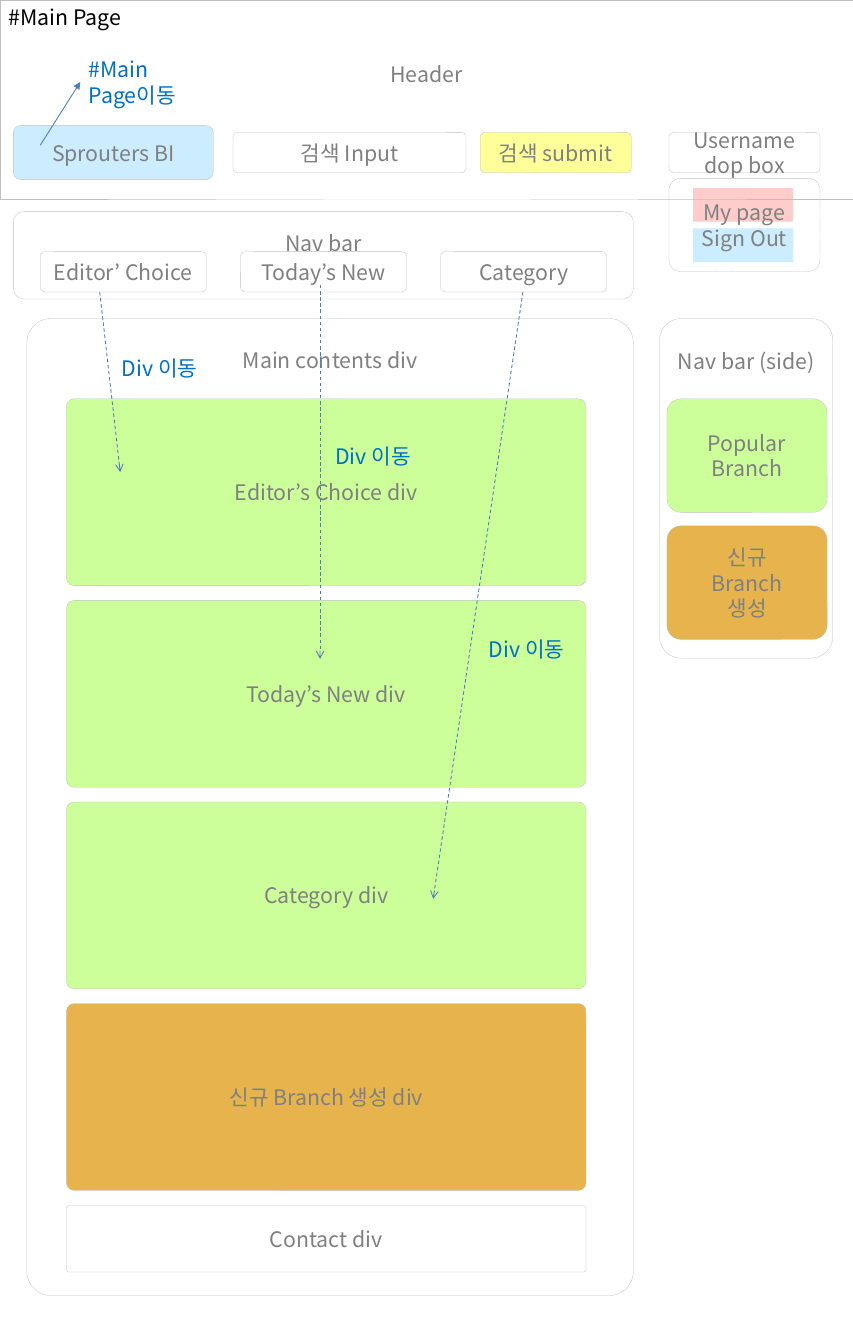
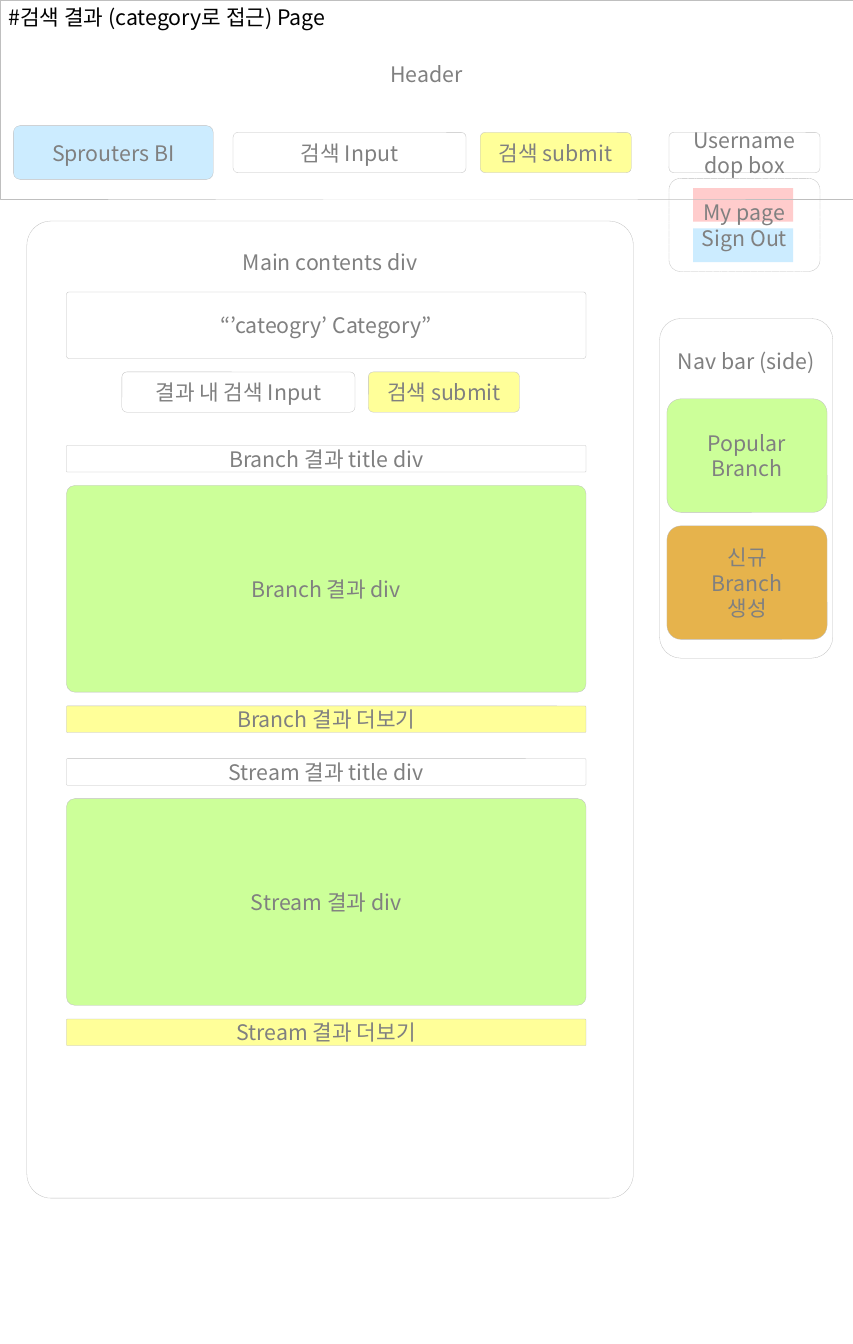
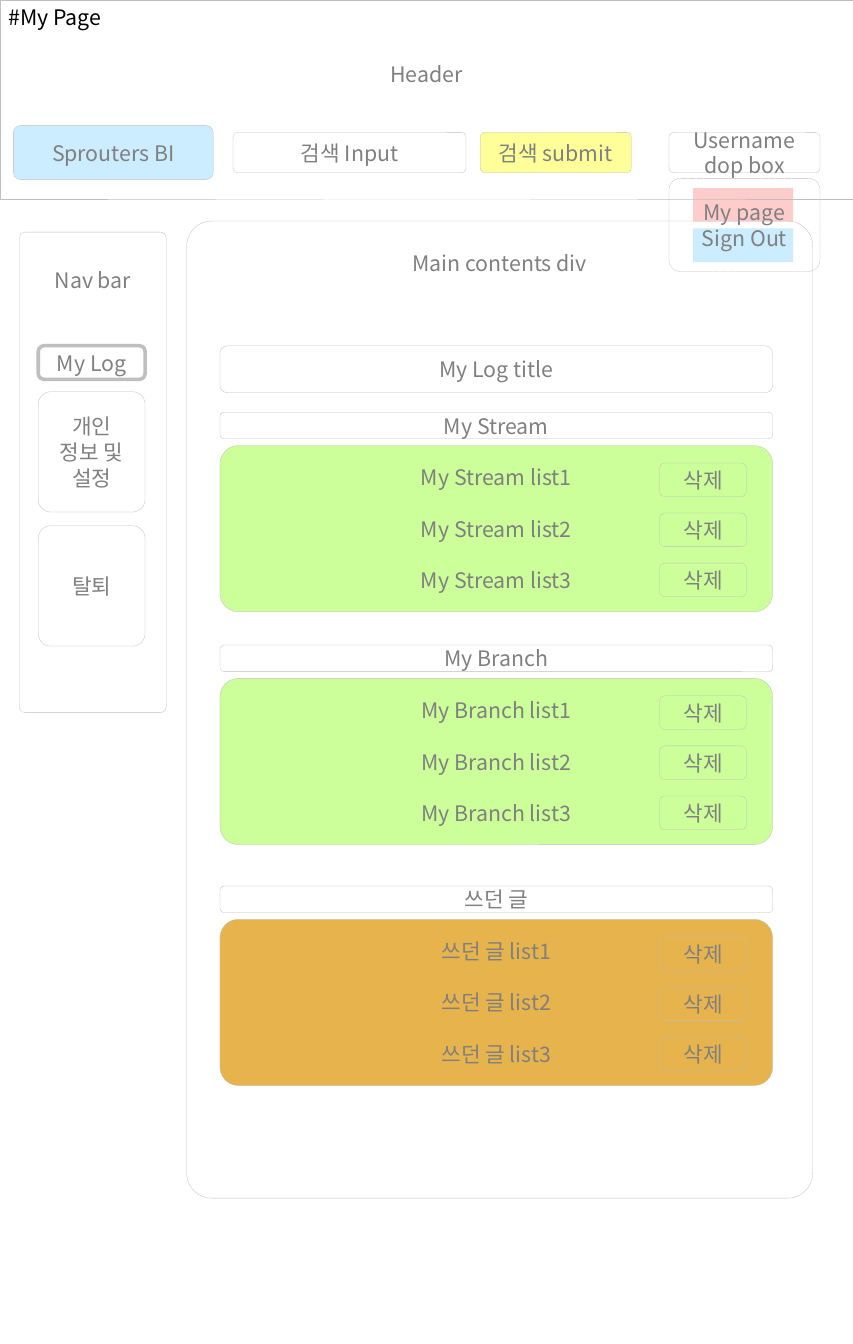
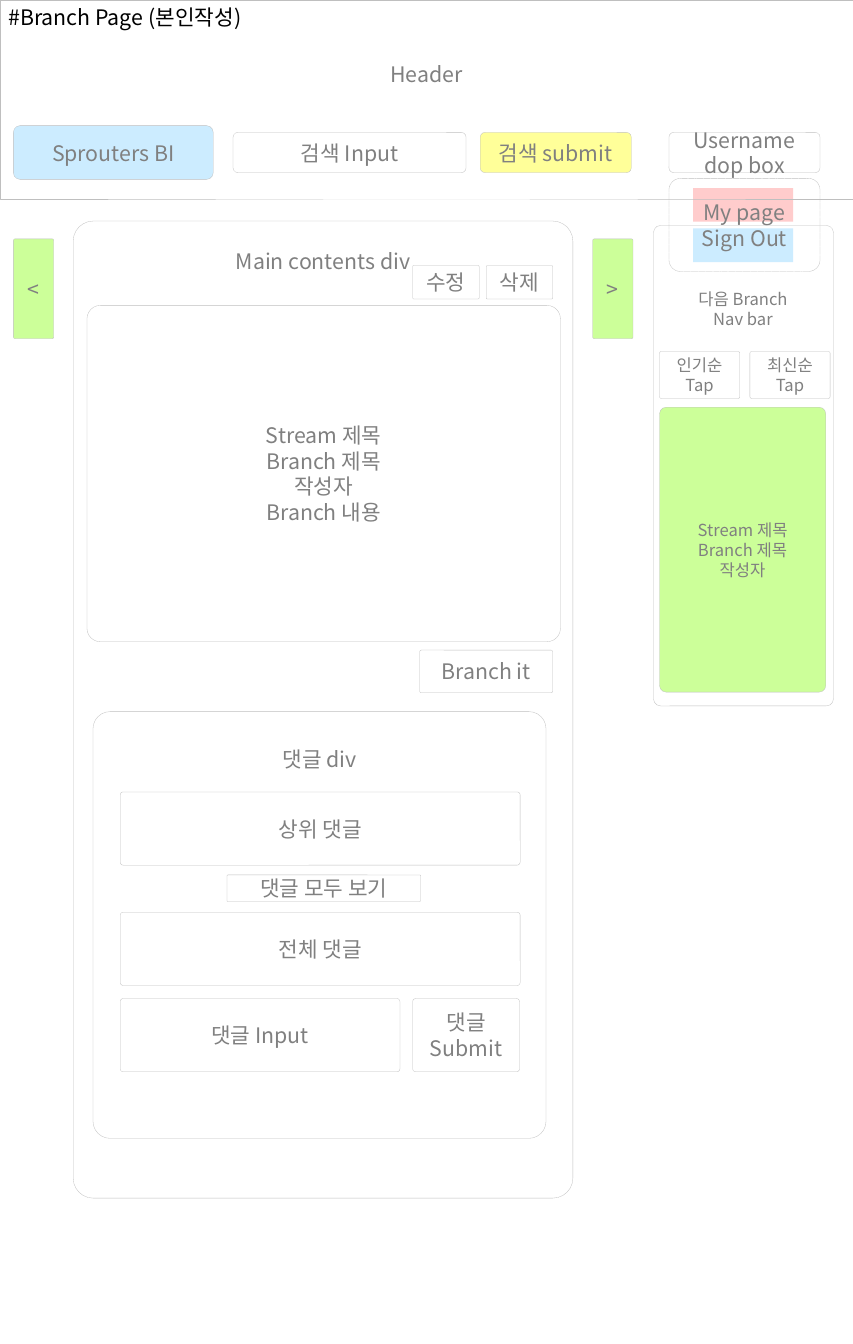
"""Build the four page wireframes of a branching-story web site."""
import pptx
import pptx.dml.color
import pptx.enum.dml
import pptx.enum.shapes
import pptx.enum.text
import pptx.oxml.ns
import pptx.util
from lxml import etree

Cm = pptx.util.Cm
Pt = pptx.util.Pt
RGBColor = pptx.dml.color.RGBColor
SHAPES = pptx.enum.shapes.MSO_SHAPE
DASHES = pptx.enum.dml.MSO_LINE
ANCHORS = pptx.enum.text.MSO_ANCHOR
ALIGN = pptx.enum.text.PP_ALIGN
qn = pptx.oxml.ns.qn

FONT = "Noto Sans CJK KR"
BLACK = RGBColor(0x00, 0x00, 0x00)
GRAY = RGBColor(0x80, 0x80, 0x80)
BORDER = RGBColor(0xBF, 0xBF, 0xBF)
SKY = RGBColor(0xCC, 0xEC, 0xFF)
PINK = RGBColor(0xFF, 0xCC, 0xCC)
YELLOW = RGBColor(0xFF, 0xFF, 0x99)
GREEN = RGBColor(0xCC, 0xFF, 0x99)
ORANGE = RGBColor(0xE6, 0xB3, 0x4C)
NOTE_BLUE = RGBColor(0x00, 0x70, 0xC0)
ARROW_BLUE = RGBColor(0x4B, 0x7E, 0xBC)

SOFT = 0.124
MEDIUM = 0.16
FIELD_H = 1.2
STRIP_H = 0.79
CONTENT_X, CONTENT_W = 1.98, 15.47
MAIN_Y, MAIN_H, MAIN_INSET = 6.58, 29.08, 0.64


def write(frame, text, color=GRAY, size=18, align=ALIGN.CENTER, gap=0):
    """Fill a text frame with one paragraph per line."""
    frame.word_wrap = True
    for index, line in enumerate(text.split("\n")):
        paragraph = frame.paragraphs[0] if index == 0 else frame.add_paragraph()
        paragraph.alignment = align
        if index and gap:
            paragraph.space_before = Pt(gap)
        run = paragraph.add_run()
        run.text = line
        run.font.size = Pt(size)
        run.font.name = FONT
        run.font.color.rgb = color
        east_asian = etree.SubElement(run.font._element, qn("a:ea"))
        east_asian.set("typeface", FONT)


def box(slide, text, left, top, width, height, fill=None, radius=0.04,
        border=0.25, inset=None, size=18, gap=0):
    """Add a wireframe block; an inset moves its heading to the top."""
    kind = SHAPES.ROUNDED_RECTANGLE if radius else SHAPES.RECTANGLE
    block = slide.shapes.add_shape(kind, Cm(left), Cm(top), Cm(width), Cm(height))
    block.shadow.inherit = False
    if radius:
        block.adjustments[0] = radius
    if fill is None:
        block.fill.background()
    else:
        block.fill.solid()
        block.fill.fore_color.rgb = fill
    if border:
        block.line.color.rgb = BORDER
        block.line.width = Pt(border)
    else:
        block.line.fill.background()
    frame = block.text_frame
    frame.vertical_anchor = ANCHORS.MIDDLE
    if inset is not None:
        frame.vertical_anchor = ANCHORS.TOP
        frame.margin_top = Cm(inset)
    if text:
        write(frame, text, size=size, gap=gap)
    return block


deck = pptx.Presentation()
deck.slide_width = Cm(25.4)
deck.slide_height = Cm(40)

pages = []
for title, title_width in [
    ("#Main Page", 3.99),
    ("#검색 결과 (category로 접근) Page", 10.64),
    ("#My Page", 3.43),
    ("#Branch Page (본인작성)", 7.7),
]:
    page = deck.slides.add_slide(deck.slide_layouts[6])
    pages.append(page)
    box(page, "", 20.64, 6.8, 2.98, 1, SKY, radius=0, border=0)
    box(page, "", 20.64, 5.6, 2.98, 1, PINK, radius=0, border=0)
    page_title = page.shapes.add_textbox(0, 0, Cm(title_width), Cm(1.02))
    write(page_title.text_frame, title, BLACK, align=ALIGN.LEFT)
    page_title.text_frame.auto_size = pptx.enum.text.MSO_AUTO_SIZE.SHAPE_TO_FIT_TEXT
    box(page, "Header", 0, 0, 25.4, 5.92, radius=0, inset=1.83)
    box(page, "Sprouters BI", 0.4, 3.74, 5.95, 1.6, SKY, SOFT)
    box(page, "검색 Input", 6.94, 3.94, 6.94, FIELD_H, radius=SOFT)
    box(page, "검색 submit", 14.3, 3.94, 4.5, FIELD_H, YELLOW, SOFT)
    box(page, "Username dop box", 19.92, 3.94, 4.5, FIELD_H, radius=SOFT)
    user_menu = box(page, "My page\nSign Out", 19.92, 5.31, 4.5, 2.77, radius=SOFT)
    user_menu.line.dash_style = DASHES.SQUARE_DOT

main_page, search_page, my_page, branch_page = pages

for page in (main_page, search_page):
    box(page, "Nav bar (side)", 19.64, 9.48, 5.16, 10.11, radius=SOFT, inset=0.71)
    box(page, "Popular Branch", 19.86, 11.87, 4.77, 3.38, GREEN, SOFT)
    box(page, "신규\nBranch\n생성", 19.86, 15.65, 4.77, 3.38, ORANGE, SOFT)

box(main_page, "Nav bar", 0.4, 6.3, 18.46, 2.6, radius=SOFT, inset=0.46)
box(main_page, "Main contents div", 0.8, 9.48, 18.06, MAIN_H, inset=MAIN_INSET)
for row, (section, fill) in enumerate([
    ("Editor’s Choice div", GREEN),
    ("Today’s New div", GREEN),
    ("Category div", GREEN),
    ("신규 Branch 생성 div", ORANGE),
]):
    box(main_page, section, CONTENT_X, 11.87 + 6 * row, CONTENT_W, 5.56, fill)
box(main_page, "Contact div", CONTENT_X, 35.88, CONTENT_W, 1.98)
for column, menu in enumerate(["Editor’ Choice", "Today’s New", "Category"]):
    box(main_page, menu, 1.2 + 5.96 * column, 7.49, 4.95, FIELD_H, radius=SOFT)

for x1, y1, x2, y2, head, dashed in [
    (2.97, 8.69, 3.58, 14.05, "arrow", True),
    (9.53, 8.48, 9.53, 19.61, "arrow", True),
    (15.57, 8.69, 12.9, 26.75, "arrow", True),
    (1.2, 4.32, 2.39, 2.44, "triangle", False),
]:
    jump = main_page.shapes.add_connector(
        pptx.enum.shapes.MSO_CONNECTOR.STRAIGHT, Cm(x1), Cm(y1), Cm(x2), Cm(y2))
    jump.line.color.rgb = ARROW_BLUE
    jump.line.width = Pt(0.75)
    if dashed:
        jump.line.dash_style = DASHES.DASH
    etree.SubElement(jump.line._get_or_add_ln(), qn("a:tailEnd")).set("type", head)
    etree.SubElement(jump._element.spPr, qn("a:effectLst"))

for note, left, top, height in [
    ("#Main Page이동", 2.39, 1.55, 1.8),
    ("Div 이동", 3.38, 10.46, 1.02),
    ("Div 이동", 9.73, 13.06, 1.02),
    ("Div 이동", 14.3, 18.82, 1.02),
]:
    jump_note = main_page.shapes.add_textbox(Cm(left), Cm(top), Cm(3.18), Cm(height))
    write(jump_note.text_frame, note, NOTE_BLUE, align=ALIGN.LEFT)

box(search_page, "Main contents div", 0.8, MAIN_Y, 18.06, MAIN_H, inset=MAIN_INSET)
box(search_page, "“’cateogry’ Category”", CONTENT_X, 8.69, CONTENT_W, 1.98)
for row, result in enumerate(["Branch", "Stream"]):
    top = 13.26 + 9.32 * row
    box(search_page, f"{result} 결과 title div", CONTENT_X, top, CONTENT_W, STRIP_H)
    box(search_page, f"{result} 결과 div", CONTENT_X, top + 1.19, CONTENT_W, 6.15, GREEN)
    box(search_page, f"{result} 결과 더보기", CONTENT_X, top + 7.75, CONTENT_W, STRIP_H, YELLOW)
box(search_page, "결과 내 검색 Input", 3.63, 11.07, 6.94, FIELD_H, radius=SOFT)
box(search_page, "검색 submit", 10.97, 11.07, 4.5, FIELD_H, YELLOW, SOFT)

box(my_page, "Main contents div", 5.56, MAIN_Y, 18.64, MAIN_H, inset=MAIN_INSET)
box(my_page, "Nav bar", 0.58, 6.91, 4.37, 14.3, inset=0.99)
box(my_page, "My Log", 1.14, 10.29, 3.18, 1, radius=0.167, border=3)
box(my_page, "개인\n정보 및 설정", 1.14, 11.66, 3.18, 3.58, radius=0.116)
box(my_page, "탈퇴", 1.14, 15.65, 3.18, 3.58, radius=0.116)
box(my_page, "My Log title", 6.55, 10.29, 16.46, 1.4, radius=MEDIUM)
for group, top, fill in [
    ("My Stream", 12.27, GREEN),
    ("My Branch", 19.2, GREEN),
    ("쓰던 글", 26.37, ORANGE),
]:
    entries = "\n".join(f"{group} list{number}" for number in (1, 2, 3))
    box(my_page, group, 6.55, top, 16.46, STRIP_H, radius=MEDIUM)
    box(my_page, entries, 6.55, top + 0.99, 16.46, 4.95, fill, 0.111, gap=21.6)
    for row in range(3):
        box(my_page, "삭제", 19.64, top + 1.51 + 1.49 * row, 2.59, 1, radius=MEDIUM)

box(branch_page, "Main contents div", 2.18, MAIN_Y, 14.88, MAIN_H, inset=MAIN_INSET)
box(branch_page, "<", 0.4, 7.11, 1.2, 2.97, GREEN)
box(branch_page, ">", 17.65, 7.11, 1.2, 2.97, GREEN)
box(branch_page, "Stream 제목\nBranch 제목\n작성자\nBranch 내용", 2.59, 9.09, 14.1, 10.01)
box(branch_page, "Branch it", 12.5, 19.35, 3.96, 1.27)
box(branch_page, "댓글 div", 2.77, 21.18, 13.49, 12.7, inset=0.89)
box(branch_page, "상위 댓글", 3.58, 23.57, 11.91, 2.18)
box(branch_page, "전체 댓글", 3.58, 27.15, 11.91, 2.18)
box(branch_page, "댓글 모두 보기", 6.76, 26.04, 5.77, STRIP_H)
box(branch_page, "댓글 Input", 3.58, 29.72, 8.33, 2.18)
box(branch_page, "댓글 Submit", 12.29, 29.72, 3.18, 2.18)
box(branch_page, "수정", 12.29, 7.9, 1.98, 1)
box(branch_page, "삭제", 14.48, 7.9, 1.98, 1)
box(branch_page, "", 19.46, 6.71, 5.36, 14.3)
box(branch_page, "인기순\nTap", 19.64, 10.46, 2.39, 1.4, size=14)
box(branch_page, "최신순\nTap", 22.33, 10.46, 2.39, 1.4, size=14)
box(branch_page, "Stream 제목\nBranch 제목\n작성자", 19.64, 12.12, 4.95, 8.48, GREEN, size=14)
box(branch_page, "다음 Branch\nNav bar", 20.04, 8.48, 4.17, 1.4, border=0, size=14)

deck.save("out.pptx")
